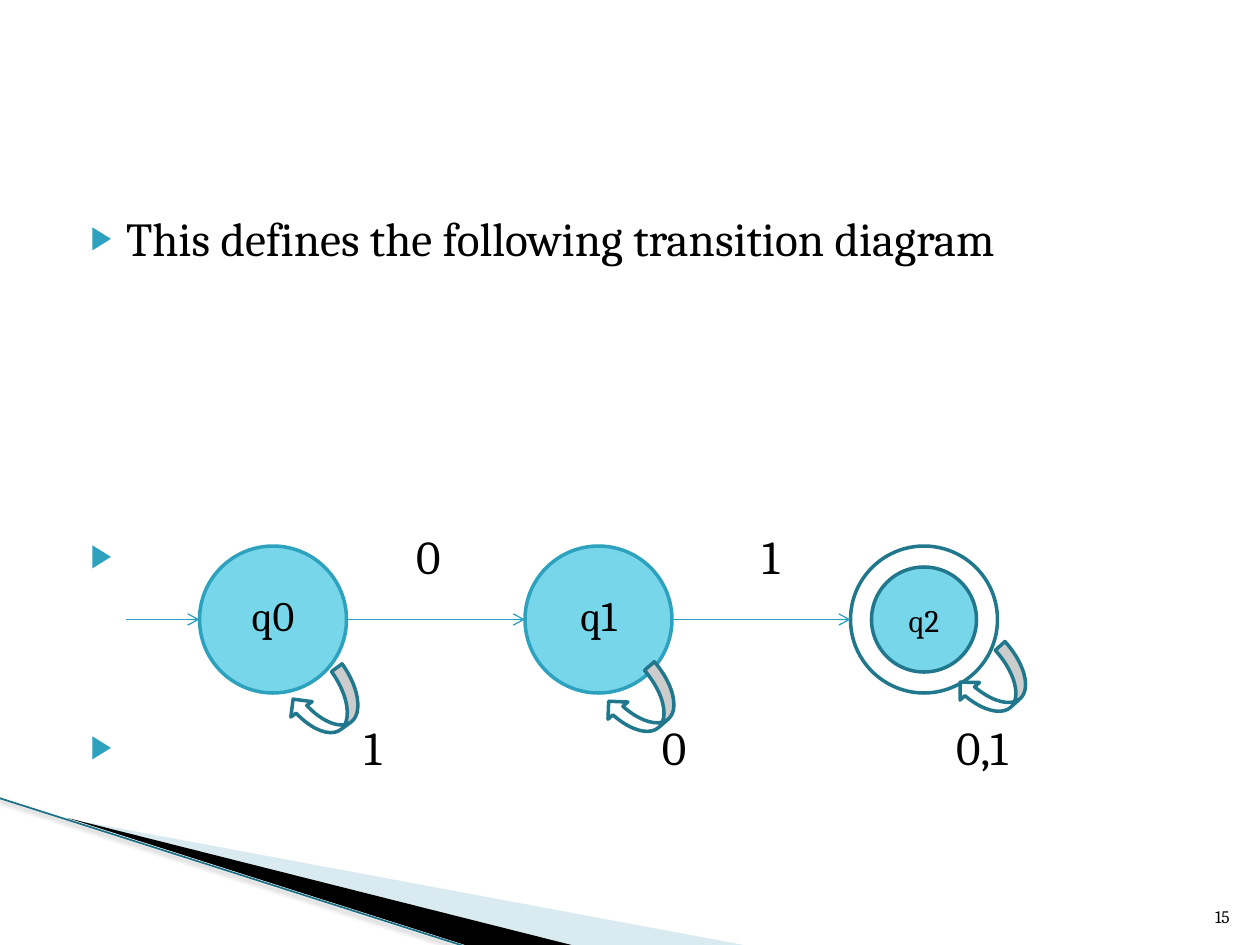
from lxml import etree
from pptx import Presentation
from pptx.dml.color import RGBColor
from pptx.enum.shapes import MSO_CONNECTOR, MSO_SHAPE
from pptx.enum.text import MSO_ANCHOR, MSO_AUTO_SIZE, PP_ALIGN
from pptx.oxml.ns import qn
from pptx.util import Inches, Pt

FONT = "Cambria"
BLACK, WHITE = "000000", "FFFFFF"
AQUA, TEAL, DARK_TEAL = "78D6EA", "2DA2BF", "21788D"
COLUMNS, ROWS = 120, 90
STATE_ROW, STATE_SIZE, RING = 52, 14, 2
AXIS_ROW = STATE_ROW + STATE_SIZE / 2
STATE_COLUMNS = (19, 50, 81)
TEXT_LEFT = 7.2
INDENT = 4.8


def cells(*values):
    """Convert grid cells, each a twelfth of an inch, to lengths."""
    return [Inches(value / 12) for value in values]


def rgb(color):
    """Turn a hex string into a colour."""
    return RGBColor.from_string(color)


def child(parent, tag, **attributes):
    """Append an XML element with the given attributes."""
    element = etree.SubElement(parent, qn(tag))
    for name, value in attributes.items():
        element.set(name, str(value))
    return element


def paint(shape, fill, line=None, width=2):
    """Give a shape a plain fill and outline without shadow."""
    shape.shadow.inherit = False
    shape.fill.solid()
    shape.fill.fore_color.rgb = rgb(fill)
    if line:
        shape.line.color.rgb = rgb(line)
        shape.line.width = Pt(width)
    else:
        shape.line.fill.background()


def write(paragraph, text, size, align=PP_ALIGN.LEFT):
    """Write one run of black text."""
    paragraph.alignment = align
    run = paragraph.add_run()
    run.text = text
    run.font.name = FONT
    run.font.size = Pt(size)
    run.font.color.rgb = rgb(BLACK)


def add_wedge(slide, points, fill, alpha=100):
    """Draw one filled corner wedge."""
    corners = [tuple(cells(*point)) for point in points]
    builder = slide.shapes.build_freeform(*corners[0], scale=1.0)
    builder.add_line_segments(corners[1:], close=True)
    wedge = builder.convert_to_shape()
    paint(wedge, fill)
    color = wedge.fill._xPr.find(qn("a:solidFill"))[0]
    child(color, "a:alpha", val=alpha * 1000)


def add_line(slide, start, end, color, width):
    """Draw a straight line and return it with its effect list."""
    line = slide.shapes.add_connector(
        MSO_CONNECTOR.STRAIGHT, *cells(*start), *cells(*end))
    line.line.color.rgb = rgb(color)
    line.line.width = Pt(width)
    return line, child(line._element.spPr, "a:effectLst")


def add_corner(slide):
    """Draw the decoration at the lower left."""
    add_wedge(slide, [(6.6, 78), (71.4, 90.1), (54.7, 90.1)], "A0CBDC", 40)
    add_wedge(slide, [(6.4, 77.9), (54.8, 90.1), (44.6, 90.1)], BLACK)
    _, effects = add_line(slide, (-0.1, 76), (44.5, 90.2), "196F85", 0.96)
    shadow = child(effects, "a:outerShdw", blurRad=Pt(3.1), dist=Pt(1.6),
                   dir=90 * 60000, algn="tl", rotWithShape=0)
    child(child(shadow, "a:srgbClr", val=BLACK), "a:alpha", val=38000)


def add_arrow(slide, start, end):
    """Draw a transition arrow along the state axis."""
    arrow, _ = add_line(slide, (start, AXIS_ROW), (end, AXIS_ROW), "28A0BE", 0.75)
    child(arrow.line._get_or_add_ln(), "a:tailEnd", type="arrow")


def add_circle(slide, column, row, size, fill, line, label="", points=24, lift=0):
    """Draw a state circle with an optional label."""
    circle = slide.shapes.add_shape(
        MSO_SHAPE.OVAL, *cells(column, row, size, size))
    paint(circle, fill, line)
    if label:
        frame = circle.text_frame
        frame.vertical_anchor = MSO_ANCHOR.MIDDLE
        frame.margin_bottom = Inches(0.05 + lift)
        write(frame.paragraphs[0], label, points, PP_ALIGN.CENTER)


def add_loop(slide, column, row, angle):
    """Draw a curved arrow that returns to its state."""
    loop = slide.shapes.add_shape(
        MSO_SHAPE.CURVED_DOWN_ARROW, *cells(column, row, 7, 5))
    loop.rotation = angle
    for index, value in enumerate((0.25, 0.5, 0.25)):
        loop.adjustments[index] = value
    paint(loop, WHITE, DARK_TEAL)


def add_bullet(paragraph, text, before, centers=()):
    """Format one bulleted line with centred tab stops."""
    paragraph.space_before = Pt(before)
    paragraph.line_spacing = Pt(32)
    properties = paragraph._p.get_or_add_pPr()
    properties.set("marL", str(Inches(0.4)))
    properties.set("indent", str(Inches(-0.28)))
    child(child(properties, "a:buClr"), "a:srgbClr", val=TEAL)
    child(properties, "a:buSzPct", val=68000)
    child(properties, "a:buFont", typeface="Arial")
    child(properties, "a:buChar", char="\u25b6")
    if centers:
        stops = child(properties, "a:tabLst")
        for center in centers:
            child(stops, "a:tab", pos=cells(center - TEXT_LEFT)[0], algn="ctr")
    write(paragraph, text, 27)


def add_body(slide):
    """Fill the body with the statement and the transition labels."""
    body = slide.placeholders[1]
    body.left, body.top, body.width, body.height = cells(6, 19.4, 108, 59.4)
    frame = body.text_frame
    frame.auto_size = MSO_AUTO_SIZE.NONE
    frame.vertical_anchor = MSO_ANCHOR.TOP
    lines = [
        ("This defines the following transition diagram", 4, ()),
        ("\t0\t1", 149.7, (40.8, 73.4)),
        ("\t1\t0\t0,1", 77.1, (35.5, 64.2, 93.5)),
    ]
    for index, line in enumerate(lines):
        paragraph = frame.add_paragraph() if index else frame.paragraphs[0]
        add_bullet(paragraph, *line)


def add_page_number(slide, number):
    """Put the page number at the lower right."""
    frame = slide.shapes.add_textbox(*cells(113.5, 84.1, 4.8, 4.8)).text_frame
    frame.word_wrap = True
    frame.vertical_anchor = MSO_ANCHOR.BOTTOM
    write(frame.paragraphs[0], number, 10, PP_ALIGN.RIGHT)


def add_automaton(slide):
    """Draw the states, their transitions and their loops."""
    for column, label in zip(STATE_COLUMNS, ("q0", "q1")):
        add_circle(slide, column, STATE_ROW, STATE_SIZE, AQUA, TEAL, label, lift=0.08)
    final = STATE_COLUMNS[-1]
    add_circle(slide, final, STATE_ROW, STATE_SIZE, WHITE, DARK_TEAL)
    add_circle(slide, final + RING, STATE_ROW + RING, STATE_SIZE - 2 * RING,
               AQUA, DARK_TEAL, "q2", 18)
    starts = [12] + [column + STATE_SIZE for column in STATE_COLUMNS[:-1]]
    for start, end in zip(starts, STATE_COLUMNS):
        add_arrow(slide, start, end)
    for loop in ((27.7, 64.8, 144.2), (57.8, 64.7, 139.2), (91.3, 62.8, 137.7)):
        add_loop(slide, *loop)


def main():
    """Build and save the slide."""
    deck = Presentation()
    deck.slide_width, deck.slide_height = cells(COLUMNS, ROWS)
    slide = deck.slides.add_slide(deck.slide_layouts[1])
    title = slide.shapes.title._element
    title.getparent().remove(title)
    add_corner(slide)
    add_body(slide)
    add_page_number(slide, "15")
    add_automaton(slide)
    deck.save("out.pptx")


main()
